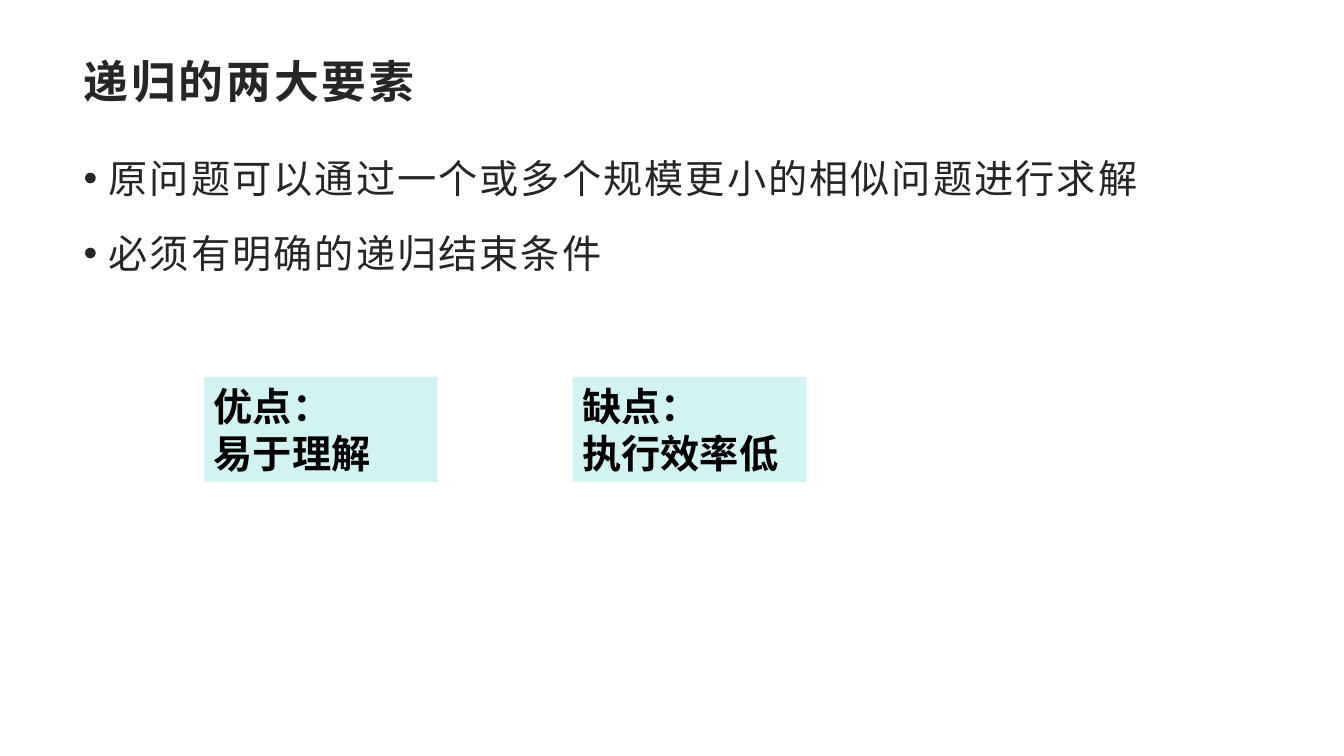
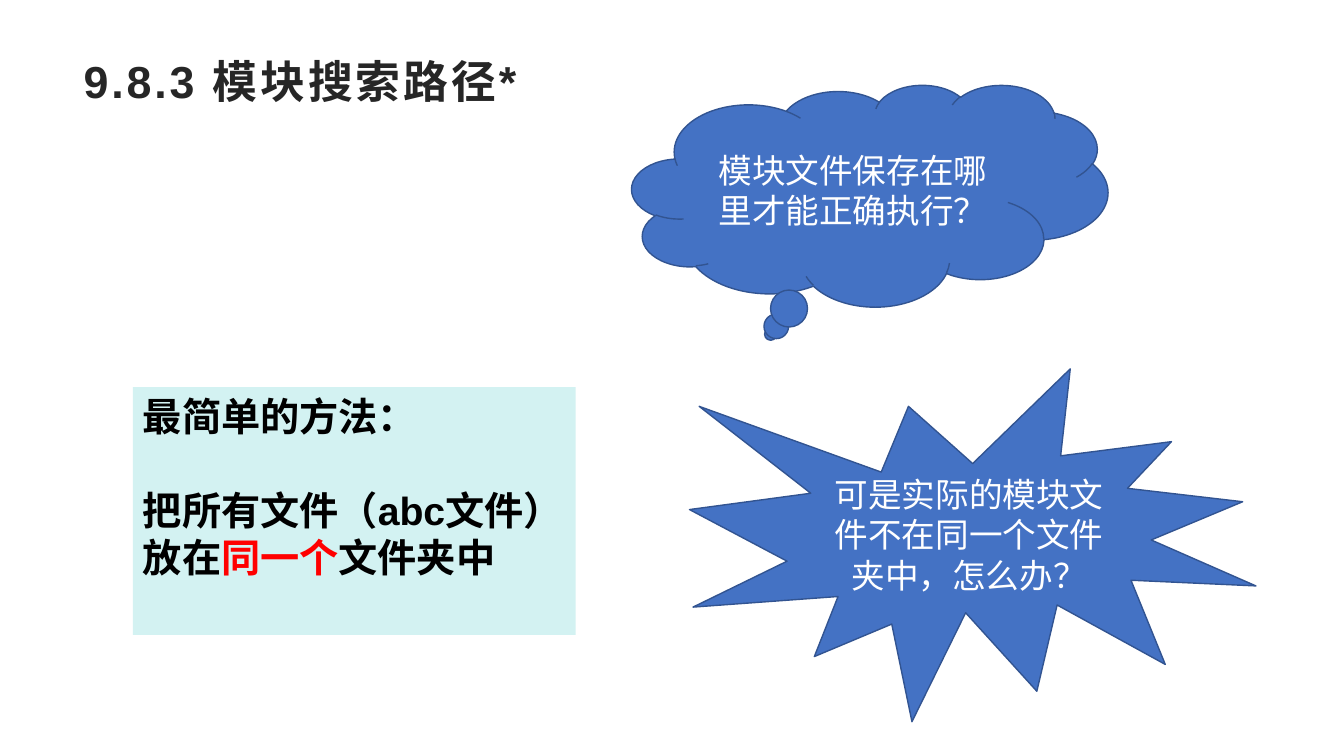
from lxml import etree
from pptx import Presentation
from pptx.dml.color import RGBColor
from pptx.enum import shapes, text
from pptx.oxml.ns import qn
from pptx.util import Pt

FONT = "Arial"
INK, BLACK, WHITE, RED = "262626", "000000", "FFFFFF", "FF0000"
NOTE_FILL, CALLOUT_FILL, CALLOUT_LINE = "D3F2F2", "4472C4", "325491"
TITLE_BOX = (52.6, 34.5, 854.6, 53.3)
BODY_BOX = (52.6, 96.5, 854.6, 402.5)


def rgb(color):
    return RGBColor.from_string(color)


def add_run(p, words, size, color, bold=False, spacing=0):
    r = p.add_run()
    r.text = words
    r.font.name, r.font.size, r.font.bold = FONT, Pt(size), bold
    r.font.color.rgb = rgb(color)
    rPr = r._r.get_or_add_rPr()
    rPr.set("lang", "zh-CN")
    if spacing:
        rPr.set("spc", str(int(spacing * 100)))


def set_frame(tf, anchor=text.MSO_ANCHOR.TOP):
    tf.word_wrap = True
    tf.auto_size = text.MSO_AUTO_SIZE.NONE
    tf.vertical_anchor = anchor
    tf.margin_left = tf.margin_right = Pt(7.2)
    tf.margin_top = tf.margin_bottom = Pt(3.6)


def paragraphs(tf, items):
    """Yield a paragraph for each item, starting with the one already there."""
    for i, item in enumerate(items):
        yield (tf.add_paragraph() if i else tf.paragraphs[0]), item


def add_titled_slide(prs, title):
    s = prs.slides.add_slide(prs.slide_layouts[5])
    sp = s.shapes.title
    sp.left, sp.top, sp.width, sp.height = map(Pt, TITLE_BOX)
    set_frame(sp.text_frame)
    p = sp.text_frame.paragraphs[0]
    p.alignment = text.PP_ALIGN.LEFT
    add_run(p, title, 32, INK, bold=True, spacing=2)
    return s


def add_bullets(s, box, lines):
    tf = s.shapes.add_textbox(*map(Pt, box)).text_frame
    set_frame(tf)
    for p, line in paragraphs(tf, lines):
        p.line_spacing, p.space_after = 1.3, Pt(10)
        pPr = p._p.get_or_add_pPr()
        pPr.set("marL", str(Pt(18)))
        pPr.set("indent", str(-Pt(18)))
        etree.SubElement(pPr, qn("a:buFont")).set("typeface", FONT)
        etree.SubElement(pPr, qn("a:buChar")).set("char", "•")
        add_run(p, line, 28, INK, spacing=1.5)


def add_filled_shape(s, kind, box, fill, line=None):
    sp = s.shapes.add_shape(kind, *map(Pt, box))
    sp.shadow.inherit = False
    sp.fill.solid()
    sp.fill.fore_color.rgb = rgb(fill)
    if line:
        sp.line.color.rgb = rgb(line)
        sp.line.width = Pt(1)
    else:
        sp.line.fill.background()
    return sp


def add_note(s, box, lines, gap=0):
    """Bold note; each line is a list of (words, color) runs."""
    sp = add_filled_shape(s, shapes.MSO_SHAPE.RECTANGLE, box, NOTE_FILL)
    tf = sp.text_frame
    set_frame(tf)
    for p, runs in paragraphs(tf, lines):
        p.alignment = text.PP_ALIGN.LEFT
        if gap and p is not tf.paragraphs[0] and len(tf.paragraphs) > 1:
            p.space_before = Pt(gap)
        for words, color in runs:
            add_run(p, words, 28, color, bold=True)


def add_callout(s, kind, box, words):
    sp = add_filled_shape(s, kind, box, CALLOUT_FILL, CALLOUT_LINE)
    set_frame(sp.text_frame, text.MSO_ANCHOR.MIDDLE)
    p = sp.text_frame.paragraphs[0]
    p.alignment = text.PP_ALIGN.CENTER
    add_run(p, words, 24, WHITE)


def build_recursion(prs):
    s = add_titled_slide(prs, "递归的两大要素")
    add_bullets(s, BODY_BOX, ["原问题可以通过一个或多个规模更小的相似问题进行求解",
                              "必须有明确的递归结束条件"])
    # Pros and cons side by side
    notes = [("优点：", "易于理解"), ("缺点：", "执行效率低")]
    for i, lines in enumerate(notes):
        add_note(s, (145.6 + i * 263.4, 269.3, 167, 75),
                 [[(line, BLACK)] for line in lines])


def build_search_path(prs):
    s = add_titled_slide(prs, "9.8.3 模块搜索路径*")
    add_callout(s, shapes.MSO_SHAPE.CLOUD_CALLOUT, (451.4, 60.5, 340, 158.4),
                "模块文件保存在哪里才能正确执行？")
    add_note(s, (95, 276.5, 316.2, 177),
             [[("最简单的方法：", BLACK)],
              [("把所有文件（abc文件）放在", BLACK), ("同一个", RED),
               ("文件夹中", BLACK)]], gap=33.5)
    add_callout(s, shapes.MSO_SHAPE.EXPLOSION1, (492.5, 263.5, 404.6, 252),
                "可是实际的模块文件不在同一个文件夹中，怎么办？")


def main():
    prs = Presentation()
    prs.slide_width, prs.slide_height = Pt(960), Pt(540)
    build_recursion(prs)
    build_search_path(prs)
    prs.save("out.pptx")


if __name__ == "__main__":
    main()
